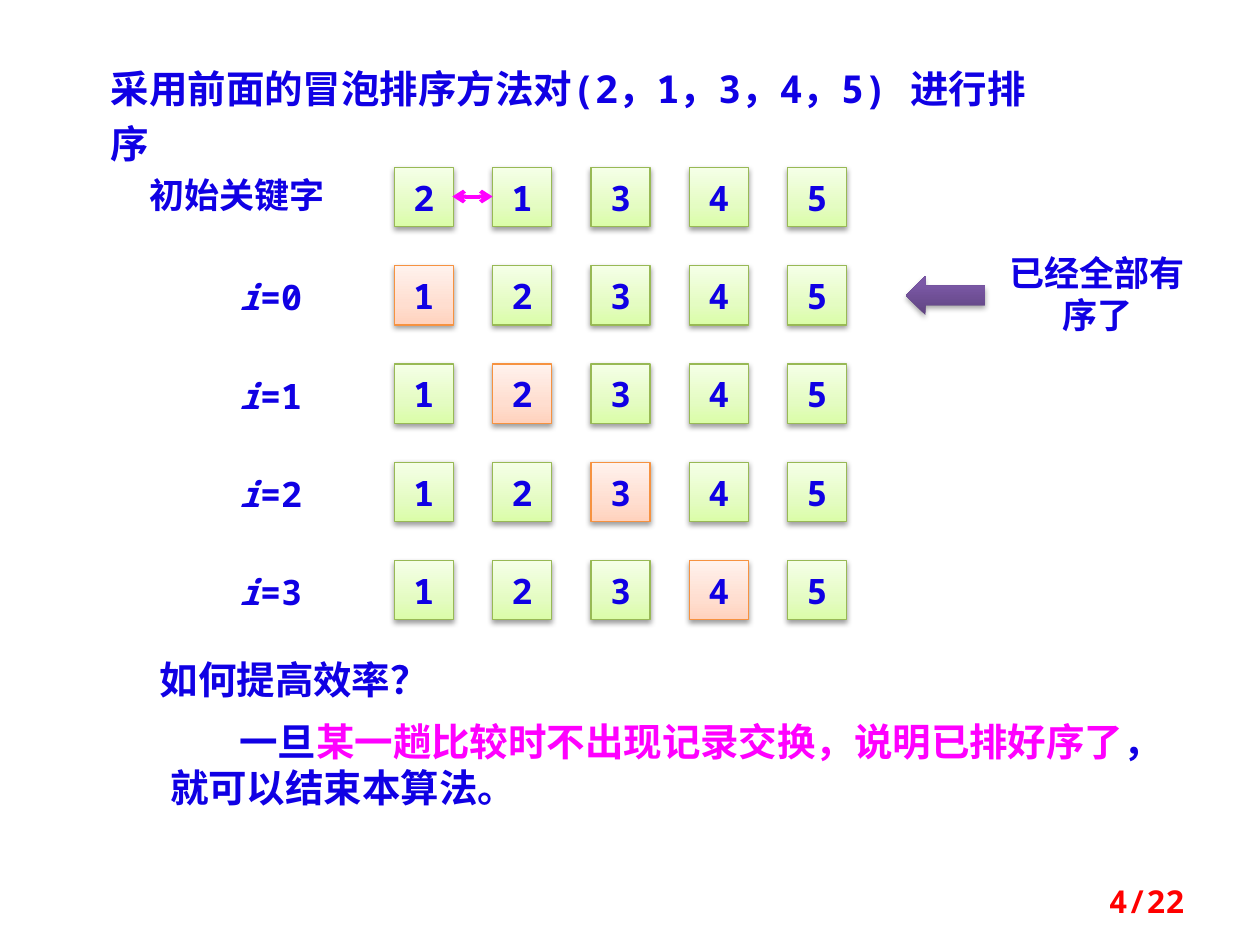
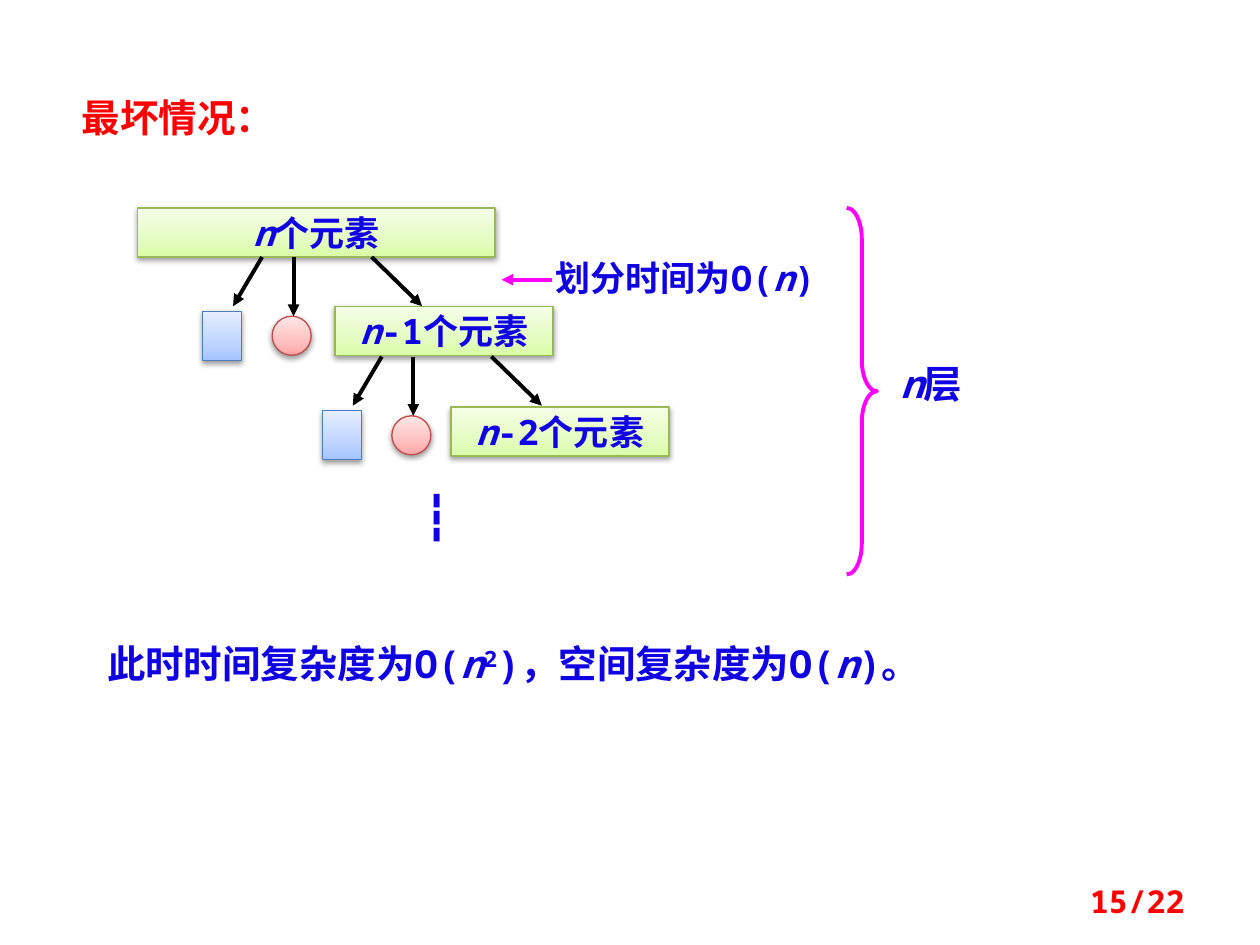
from dataclasses import dataclass
from typing import NamedTuple

from lxml import etree
from pptx import Presentation
from pptx.dml.color import RGBColor
from pptx.enum.lang import MSO_LANGUAGE_ID
from pptx.enum.shapes import MSO_CONNECTOR, MSO_SHAPE
from pptx.enum.text import MSO_ANCHOR, MSO_AUTO_SIZE, PP_ALIGN
from pptx.oxml.ns import qn
from pptx.util import Pt

RECT, OVAL = MSO_SHAPE.RECTANGLE, MSO_SHAPE.OVAL
ARROW, BRACE = MSO_SHAPE.LEFT_ARROW, MSO_SHAPE.RIGHT_BRACE
STRAIGHT = MSO_CONNECTOR.STRAIGHT
LEFT, MID, RIGHT = PP_ALIGN.LEFT, PP_ALIGN.CENTER, PP_ALIGN.RIGHT
TOP, CENTER = MSO_ANCHOR.TOP, MSO_ANCHOR.MIDDLE
FIXED = MSO_AUTO_SIZE.NONE
CHINESE = MSO_LANGUAGE_ID.SIMPLIFIED_CHINESE

PX = 9144  # 100 px to the inch


class Paint(NamedTuple):
    """Gradient from bottom to top, with an optional outline."""
    stops: tuple[tuple[int, str], ...]
    edge: str | None = None
    alpha: int = 38
    drop: int = 20000


@dataclass(frozen=True)
class Theme:
    font: str = "Noto Sans Mono"
    blue: str = "1000E4"
    red: str = "FF0000"
    pink: str = "FF00FF"
    black: str = "000000"
    head: int = 22
    label: int = 20
    dots: int = 24
    page: int = 18
    thin: float = 0.75
    thick: float = 2.25
    green: Paint = Paint(((0, "DAFDA7"), (35, "E4FCC2"), (100, "F5FFE7")), "98B955")
    peach: Paint = Paint(((0, "FFD2BD"), (35, "FFDED0"), (100, "FFF2ED")), "F69240")
    rose: Paint = Paint(((0, "FFA6A5"), (35, "FFC0BF"), (100, "FFE7E7")), "BF4C48")
    sky: Paint = Paint(((0, "A4C4FF"), (35, "BFD4FF"), (100, "E6EEFF")), "4B7EBC")
    plum: Paint = Paint(((0, "5F4480"), (80, "7B58A6"), (100, "7C57A8")), None, 35, 23000)


T = Theme()


class Box(NamedTuple):
    x: int
    y: int
    w: int
    h: int

    def emu(self) -> list[int]:
        return [v * PX for v in self]


class Run(NamedTuple):
    text: str
    tone: str = T.blue
    slant: bool = False
    power: bool = False


class Level(NamedTuple):
    """One split in the tree: its offset and the box it leads to."""
    dx: int
    dy: int
    box: Box
    rest: str


N = Run("n", slant=True)


# Text
def write(shape, runs: list[Run], size: int, align=LEFT, anchor=TOP,
          wrap: bool = True, indent: int = 0, pitch: float = 1.0) -> None:
    frame = shape.text_frame
    frame.auto_size, frame.word_wrap = FIXED, wrap
    frame.vertical_anchor = anchor
    para = frame.paragraphs[0]
    props = para._p.get_or_add_pPr()
    props.set("marL", "0")
    props.set("indent", str(indent * PX))
    etree.SubElement(props, qn("a:buNone"))
    para.alignment, para.line_spacing = align, pitch
    para.space_before = Pt(0)
    for part in runs:
        run = para.add_run()
        run.text = part.text
        font = run.font
        font.name, font.size, font.bold = T.font, Pt(size), True
        font.italic = part.slant
        font.language_id = CHINESE
        font.color.rgb = RGBColor.from_string(part.tone)
        mark = run._r.get_or_add_rPr()
        etree.SubElement(mark, qn("a:ea"), typeface=T.font)
        if part.power:
            mark.set("baseline", "30000")


def label(slide, box: Box, runs: list[Run], size: int = T.label,
          align=LEFT, anchor=TOP) -> None:
    write(slide.shapes.add_textbox(*box.emu()), runs, size, align, anchor)


def place(holder, box: Box):
    holder.left, holder.top, holder.width, holder.height = box.emu()
    return holder


# Shapes and lines
def block(slide, kind, box: Box, paint: Paint):
    shape = slide.shapes.add_shape(kind, *box.emu())
    shape.fill.gradient()
    shape.fill.gradient_angle = 90
    stops = shape._element.spPr.find(qn("a:gradFill")).find(qn("a:gsLst"))
    for old in list(stops):
        stops.remove(old)
    for pos, tone in paint.stops:
        stop = etree.SubElement(stops, qn("a:gs"), pos=str(pos * 1000))
        etree.SubElement(stop, qn("a:srgbClr"), val=tone)
    if paint.edge:
        shape.line.color.rgb = RGBColor.from_string(paint.edge)
        shape.line.width = Pt(T.thin)
    else:
        shape.line.fill.background()
    shape.shadow.inherit = False
    glow = etree.SubElement(
        shape._element.spPr.find(qn("a:effectLst")), qn("a:outerShdw"),
        blurRad="40000", dist=str(paint.drop), dir="5400000", rotWithShape="0")
    tint = etree.SubElement(glow, qn("a:srgbClr"), val=T.black)
    etree.SubElement(tint, qn("a:alpha"), val=str(paint.alpha * 1000))
    return shape


def link(slide, ends: tuple[int, int, int, int], tone: str,
         tail: str = "triangle", head: str | None = None) -> None:
    line = slide.shapes.add_connector(STRAIGHT, *[v * PX for v in ends])
    line.line.color.rgb = RGBColor.from_string(tone)
    line.line.width = Pt(T.thick)
    pen = line.line._get_or_add_ln()
    if head:
        etree.SubElement(pen, qn("a:headEnd"), type=head)
    etree.SubElement(pen, qn("a:tailEnd"), type=tail)
    etree.SubElement(line._element.spPr, qn("a:effectLst"))


# Title, body text and page number of every slide
def start(deck, page: str, title: Run, spot: Box, pitch: float,
          body: list[Run], room: Box, indent: int = 0):
    slide = deck.slides.add_slide(deck.slide_layouts[1])
    write(place(slide.shapes.title, spot), [title], T.head, pitch=pitch)
    write(place(slide.placeholders[1], room), body, T.head, indent=indent)
    label(slide, Box(717, 695, 233, 40), [Run(page, T.red)], T.page, RIGHT, CENTER)
    return slide


def sort_slide(deck) -> None:
    slide = start(
        deck, "4/22",
        Run("采用前面的冒泡排序方法对(2，1，3，4，5) 进行排序"), Box(78, 39, 758, 99), 1.2,
        [Run("一旦"), Run("某一趟比较时不出现记录交换，说明已排好序了", T.pink),
         Run("，就可以结束本算法。")],
        Box(125, 565, 800, 84), indent=55)

    # Keys after each pass; the key just settled is peach
    step, side = 78, 47
    label(slide, Box(109, 133, 190, 44), [Run("初始关键字")])
    for row in range(5):
        keys = "21345" if row == 0 else "12345"
        for col, key in enumerate(keys):
            paint = T.peach if col == row - 1 else T.green
            cell = block(slide, RECT, Box(313 + step * col, 133 + step * row, side, side), paint)
            write(cell, [Run(key)], T.label, MID, CENTER)
        if row:
            label(slide, Box(180, 136 + step * row, 80, 44),
                  [Run("i", slant=True), Run(f"={row - 1}")])
    link(slide, (359, 156, 391, 156), T.pink, "arrow", "arrow")

    # Remark and question
    block(slide, ARROW, Box(719, 219, 63, 31), T.plum)
    label(slide, Box(789, 195, 164, 77), [Run("已经全部有序了")], align=MID)
    label(slide, Box(117, 516, 313, 47), [Run("如何提高效率？")], T.head)


def tree_slide(deck) -> None:
    slide = start(
        deck, "15/22", Run("最坏情况：", T.red), Box(55, 70, 214, 47), 1.0,
        [Run("此时时间复杂度为O("), N, Run("2", power=True),
         Run(")，空间复杂度为O("), N, Run(")。")],
        Box(75, 503, 701, 47))

    # Tree of splits
    def node(box: Box, rest: str) -> None:
        write(block(slide, RECT, box, T.green), [N, Run(rest)],
              T.label, MID, CENTER, wrap=False)

    node(Box(109, 165, 284, 39), "个元素")
    for lev in (Level(0, 0, Box(266, 243, 173, 39), "-1个元素"),
                Level(95, 79, Box(358, 323, 173, 39), "-2个元素")):
        block(slide, RECT, Box(161 + lev.dx, 247 + lev.dy, 31, 39), T.sky)
        block(slide, OVAL, Box(216 + lev.dx, 251 + lev.dy, 31, 31), T.rose)
        node(lev.box, lev.rest)
        for x, to_x, to_y in ((208, 185, 243), (233, 233, 251), (295, 335, 243)):
            link(slide, (x + lev.dx, 204 + lev.dy, to_x + lev.dx, to_y + lev.dy), T.black)
    label(slide, Box(272, 385, 149, 50), [Run("┇")], T.dots, MID)

    # Cost of one split
    link(slide, (438, 222, 398, 222), T.pink)
    label(slide, Box(414, 199, 260, 43), [Run("划分时间为O("), N, Run(")")], align=MID)

    # Depth of the tree
    brace = slide.shapes.add_shape(BRACE, *Box(672, 165, 24, 291).emu())
    brace.adjustments[0], brace.adjustments[1] = 1.03, 0.5
    brace.fill.background()
    brace.line.color.rgb = RGBColor.from_string(T.pink)
    brace.line.width = Pt(T.thick)
    brace.shadow.inherit = False
    label(slide, Box(680, 281, 118, 47), [N, Run("层")], T.head, MID)


def main() -> None:
    deck = Presentation()
    deck.slide_width, deck.slide_height = 1000 * PX, 750 * PX
    sort_slide(deck)
    tree_slide(deck)
    deck.save("out.pptx")


if __name__ == "__main__":
    main()
